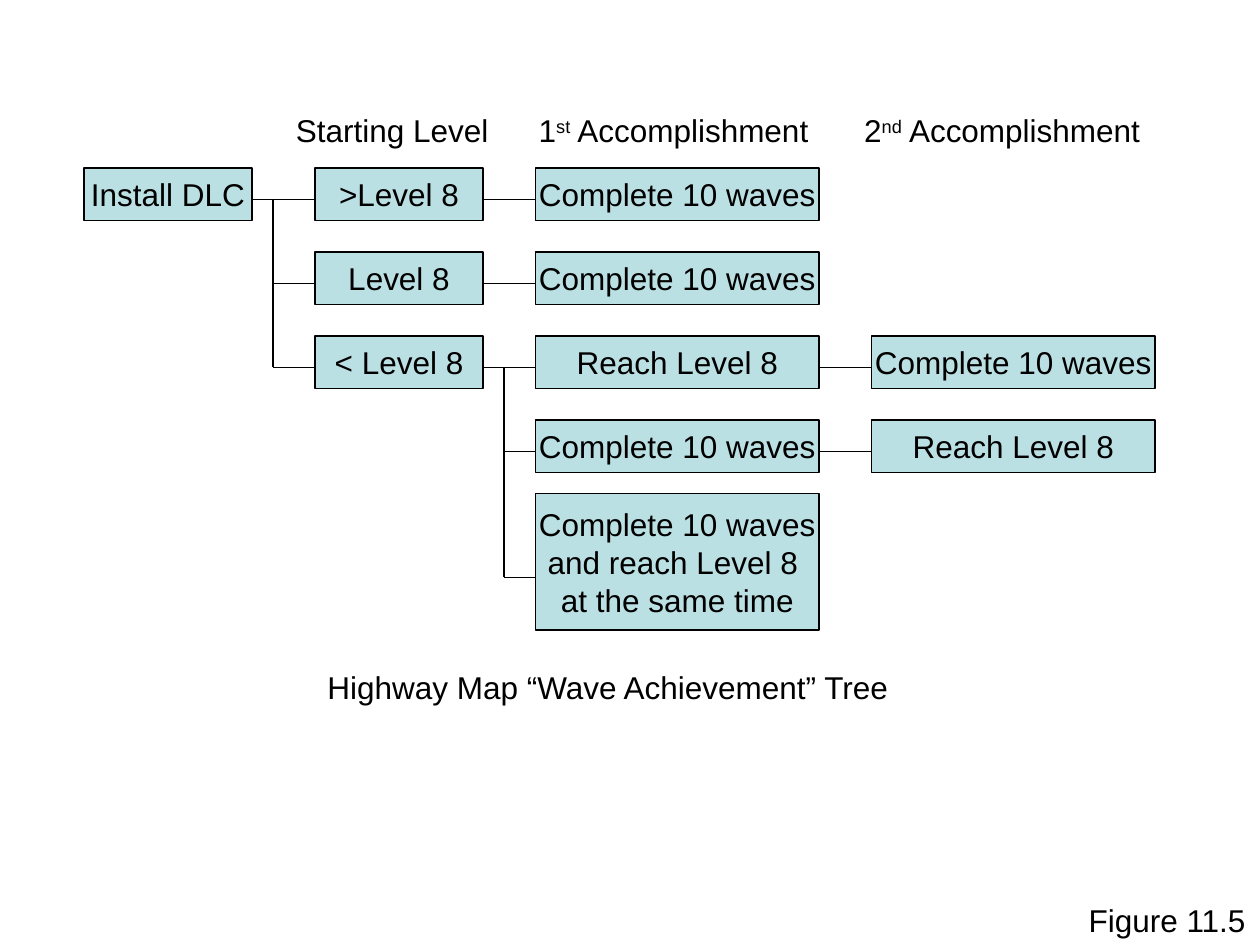
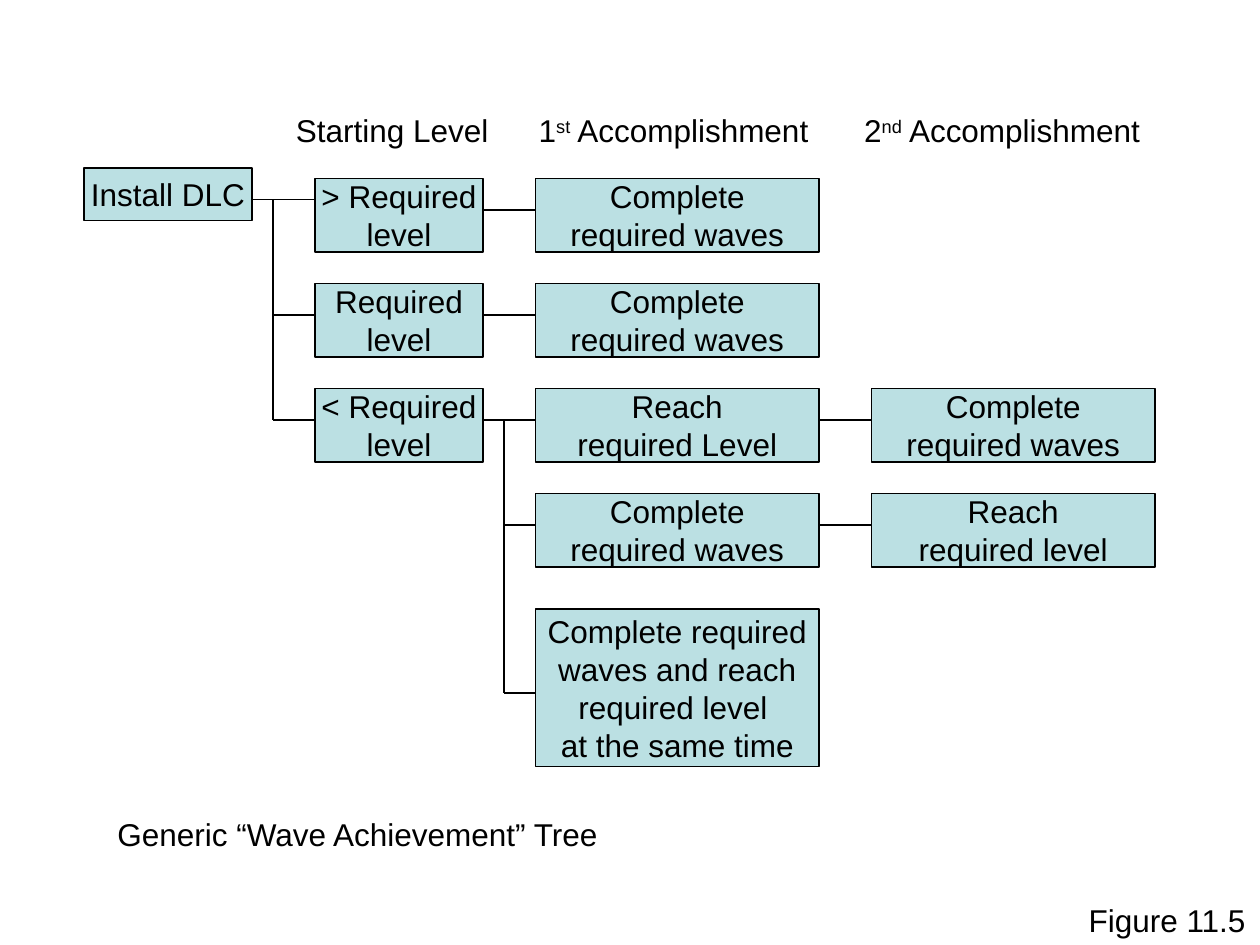
import pptx
import pptx.util
import pptx.dml.color
import pptx.enum.shapes
import pptx.enum.text
import lxml.etree

PX = 9525
COLORS = {"fill": "BBE0E3", "ink": "000000"}
FONT, SIZE, LINE_WIDTH = "Arial", 18, 0.75
ALIGN = pptx.enum.text.PP_ALIGN

HEADINGS = [
    ("Starting Level", 216, 166),
    ("1^st^ Accomplishment", 401, 232),
    ("2^nd^ Accomplishment", 649, 230),
]
INSTALL_X, START_X, FIRST_X, SECOND_X = 64, 240, 408, 664
NARROW, WIDE = 128, 216
START_TRUNK, FIRST_TRUNK = 208, 384
INSTALL_Y, INSTALL_H = 128, 40
LINE_DROP, LAST_DROP = 24, 64

TREES = [
    {
        "top": 128, "pitch": 64, "height": 40,
        "starts": [">Level 8", "Level 8", "< Level 8"],
        "firsts": ["Complete 10 waves", "Complete 10 waves",
                   "Reach Level 8", "Complete 10 waves"],
        "seconds": ["Complete 10 waves", "Reach Level 8"],
        "last": ("Complete 10 waves\nand reach Level 8 \nat the same time", 376, 104),
        "caption": ("Highway Map “Wave Achievement” Tree", 240, 504, 450),
    },
    {
        "top": 136, "pitch": 80, "height": 56,
        "starts": ["> Required\nlevel", "Required\nlevel", "< Required\nlevel"],
        "firsts": ["Complete\nrequired waves", "Complete\nrequired waves",
                   "Reach\nrequired Level", "Complete\nrequired waves"],
        "seconds": ["Complete\nrequired waves", "Reach\nrequired level"],
        "last": ("Complete required\nwaves and reach\nrequired level \nat the same time",
                 464, 120),
        "caption": ("Generic “Wave Achievement” Tree", 80, 616, 389),
    },
]


def rgb(name):
    return pptx.dml.color.RGBColor.from_string(COLORS[name])


def write(tf, text, align=ALIGN.LEFT, anchor=pptx.enum.text.MSO_ANCHOR.TOP, color="ink"):
    """Fill a text frame: newlines part paragraphs, ^carets^ enclose superscript."""
    tf.word_wrap = False
    tf.vertical_anchor = anchor
    for i, line in enumerate(text.split("\n")):
        p = tf.paragraphs[0] if i == 0 else tf.add_paragraph()
        p.alignment = align
        for j, part in enumerate(line.split("^")):
            r = p.add_run()
            r.text = part
            r.font.name = FONT
            r.font.size = pptx.util.Pt(SIZE)
            r.font.color.rgb = rgb(color)
            if j % 2:
                r.font._element.set("baseline", "30000")


class Deck:
    def __init__(self):
        self.prs = pptx.Presentation()
        self.prs.slide_width, self.prs.slide_height = 960 * PX, 720 * PX

    def new_slide(self):
        self.s = self.prs.slides.add_slide(self.prs.slide_layouts[6])

    def label(self, text, x, y, w, h=39):
        sp = self.s.shapes.add_textbox(x * PX, y * PX, w * PX, h * PX)
        write(sp.text_frame, text)
        sp.text_frame.auto_size = pptx.enum.text.MSO_AUTO_SIZE.SHAPE_TO_FIT_TEXT

    def box(self, text, x, y, w, h):
        sp = self.s.shapes.add_shape(pptx.enum.shapes.MSO_SHAPE.RECTANGLE,
                                     x * PX, y * PX, w * PX, h * PX)
        sp.shadow.inherit = False
        sp.fill.solid()
        sp.fill.fore_color.rgb = rgb("fill")
        sp.line.color.rgb = rgb("ink")
        sp.line.width = pptx.util.Pt(LINE_WIDTH)
        write(sp.text_frame, text, align=ALIGN.CENTER,
              anchor=pptx.enum.text.MSO_ANCHOR.MIDDLE)

    def line(self, x1, y1, x2, y2):
        c = self.s.shapes.add_connector(pptx.enum.shapes.MSO_CONNECTOR.STRAIGHT,
                                        x1 * PX, y1 * PX, x2 * PX, y2 * PX)
        c.line.color.rgb = rgb("ink")
        c.line.width = pptx.util.Pt(LINE_WIDTH)
        lxml.etree.SubElement(c._element.spPr, pptx.oxml.ns.qn("a:effectLst"))


def draw_tree(deck, tree):
    deck.new_slide()
    for text, x, w in HEADINGS:
        deck.label(text, x, 80, w)
    deck.label("Figure 11.5", 820, 682, 140)
    deck.label(*tree["caption"])

    height = tree["height"]
    tops = [tree["top"] + i * tree["pitch"] for i in range(4)]
    levels = [top + LINE_DROP for top in tops]
    last_text, last_top, last_height = tree["last"]
    last_level = last_top + LAST_DROP
    install_level = INSTALL_Y + LINE_DROP

    deck.box("Install DLC", INSTALL_X, INSTALL_Y, NARROW, INSTALL_H)
    for text, top in zip(tree["starts"], tops):
        deck.box(text, START_X, top, NARROW, height)
    for text, top in zip(tree["firsts"], tops):
        deck.box(text, FIRST_X, top, WIDE, height)
    for text, top in zip(tree["seconds"], tops[2:]):
        deck.box(text, SECOND_X, top, WIDE, height)
    deck.box(last_text, FIRST_X, last_top, WIDE, last_height)

    deck.line(INSTALL_X + NARROW, install_level, START_X, install_level)
    deck.line(START_TRUNK, install_level, START_TRUNK, levels[2])
    for y in levels[1:3]:
        deck.line(START_TRUNK, y, START_X, y)
    for y in levels[:3]:
        deck.line(START_X + NARROW, y, FIRST_X, y)
    for y_from, y_to in [(levels[2], levels[3]), (levels[3], last_level)]:
        deck.line(FIRST_TRUNK, y_from, FIRST_TRUNK, y_to)
        deck.line(FIRST_TRUNK, y_to, FIRST_X, y_to)
    for y in levels[2:]:
        deck.line(FIRST_X + WIDE, y, SECOND_X, y)


def main():
    deck = Deck()
    for tree in TREES:
        draw_tree(deck, tree)
    deck.prs.save("out.pptx")


if __name__ == "__main__":
    main()
